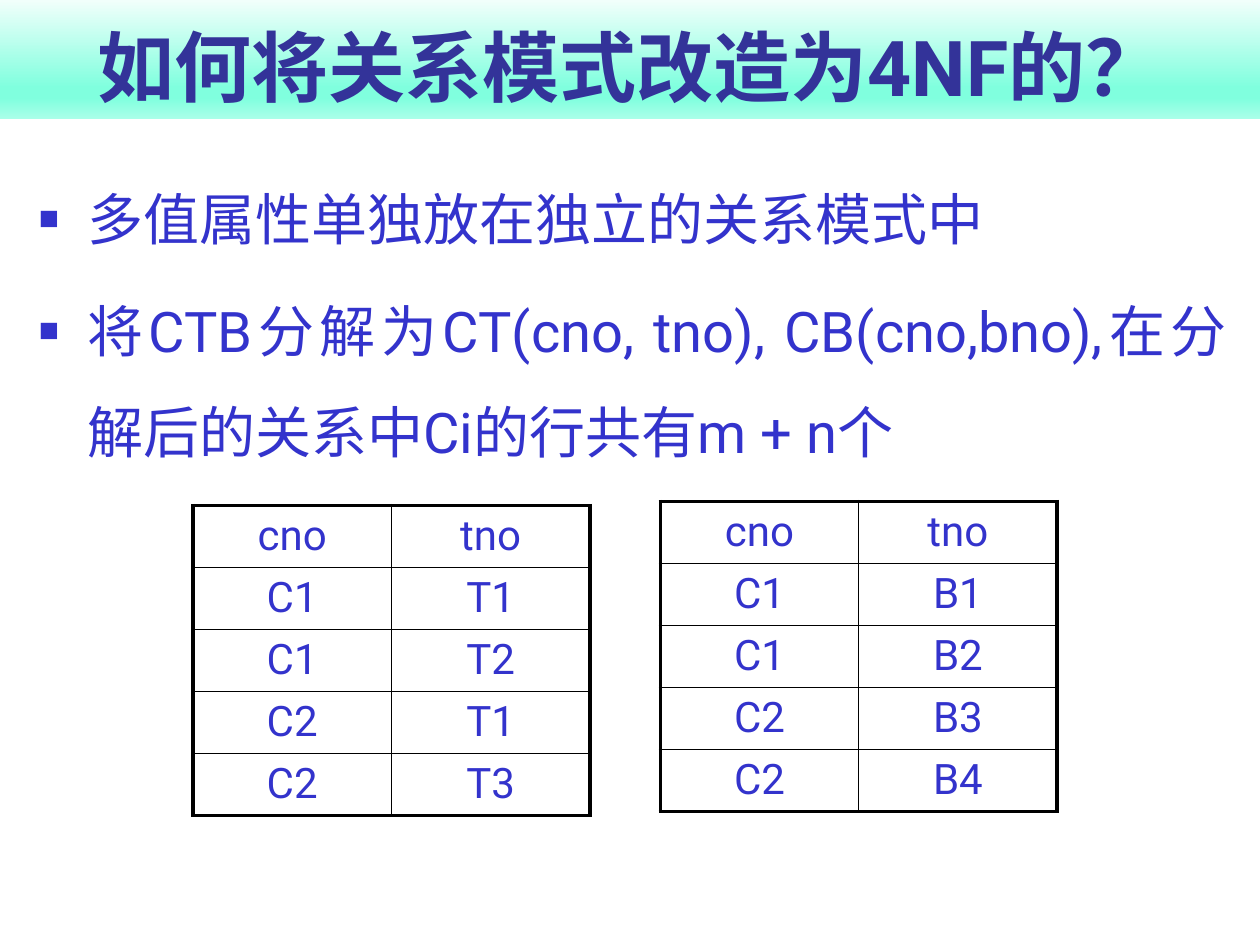
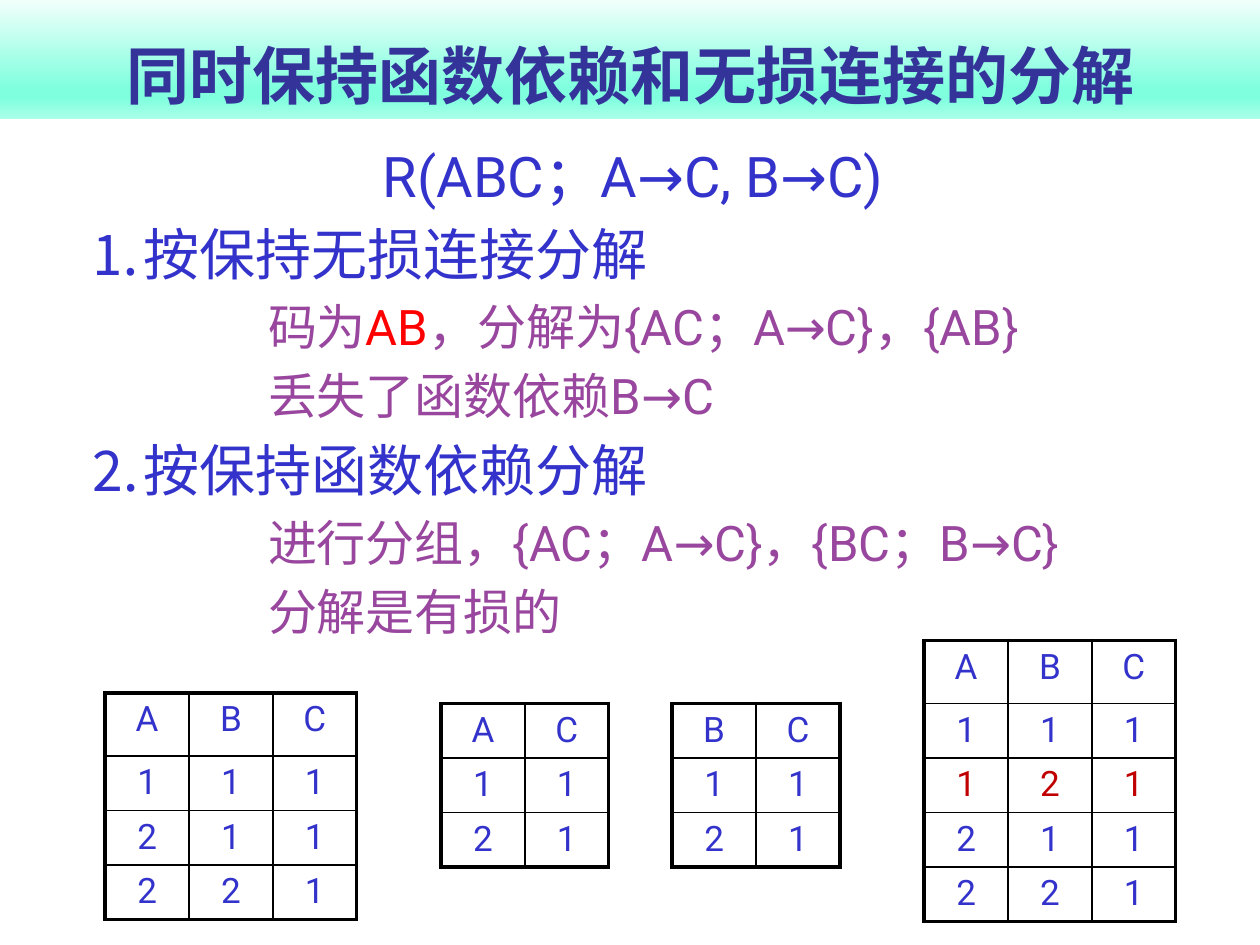
from dataclasses import dataclass

from lxml import etree
from pptx import Presentation
from pptx.dml.color import RGBColor
from pptx.enum.text import MSO_ANCHOR, MSO_AUTO_SIZE, PP_ALIGN
from pptx.oxml import parse_xml
from pptx.oxml.ns import nsdecls, qn
from pptx.util import Cm, Pt


@dataclass(frozen=True)
class Theme:
    font: str = "Roboto"
    title: str = "333399"
    text: str = "3333CC"
    detail: str = "98469E"
    key: str = "FF0000"
    spurious: str = "C00000"
    border: str = "000000"
    band: tuple = ((0, "F1FFFB"), (74, "80FFDE"), (83, "80FFDE"), (100, "AAFFE9"))
    body_size: int = 32
    detail_size: int = 28
    outer_line: float = 2.25
    inner_line: float = 1


THEME = Theme()


def apply(target, values):
    for name, value in values.items():
        setattr(target, name, value)


def add_run(paragraph, text, size, color, bold=False):
    run = paragraph.add_run()
    run.text = text
    apply(run.font, {"name": THEME.font, "size": Pt(size), "bold": bold})
    run.font.color.rgb = RGBColor.from_string(color)


def place(shape, left, top, width, height):
    apply(shape, {"left": Cm(left), "top": Cm(top), "width": Cm(width), "height": Cm(height)})


# Title band
def add_title(slide, text, size):
    title = slide.shapes.title
    place(title, 0, 0, 25.4, 2.39)
    stops = "".join(f'<a:gs pos="{pos * 1000}"><a:srgbClr val="{color}"/></a:gs>'
                    for pos, color in THEME.band)
    title._element.spPr.append(parse_xml(
        f'<a:gradFill {nsdecls("a")} rotWithShape="1"><a:gsLst>{stops}</a:gsLst>'
        '<a:lin ang="5400000" scaled="0"/></a:gradFill>'))
    frame = title.text_frame
    apply(frame, {"vertical_anchor": MSO_ANCHOR.BOTTOM, "auto_size": MSO_AUTO_SIZE.NONE})
    frame.paragraphs[0].alignment = PP_ALIGN.CENTER
    add_run(frame.paragraphs[0], text, size, THEME.title, bold=True)


# Body lists
def set_bullet(paragraph, indent, hanging, char):
    props = paragraph._p.get_or_add_pPr()
    props.set("marL", str(Cm(indent)))
    props.set("indent", str(-Cm(hanging)))
    if not char:
        etree.SubElement(props, qn("a:buNone"))
        return
    color = etree.SubElement(props, qn("a:buClr"))
    etree.SubElement(color, qn("a:srgbClr"), val=THEME.text)
    etree.SubElement(props, qn("a:buSzPct"), val="60000")
    etree.SubElement(props, qn("a:buChar"), char=char)


def add_line(frame, runs, size=THEME.body_size, indent=0, hanging=0, char=None, **formats):
    first = not frame.paragraphs[0].runs
    paragraph = frame.paragraphs[0] if first else frame.add_paragraph()
    set_bullet(paragraph, indent, hanging, char)
    apply(paragraph, {"alignment": PP_ALIGN.JUSTIFY, **formats})
    if first:
        paragraph.space_before = Pt(0)
    for text, color in runs:
        add_run(paragraph, text, size, color)


def add_bullet(frame, text):
    add_line(frame, [(text, THEME.text)], indent=0.97, hanging=0.97, char="■", line_spacing=1.5)


def add_step(frame, text):
    add_line(frame, [(text, THEME.text)], indent=0.97)


def add_detail(frame, *runs):
    add_line(frame, runs, size=THEME.detail_size, indent=4.62, level=1)


def body_frame(slide, top, height):
    body = slide.placeholders[1]
    place(body, 0.53, top, 24.46, height)
    body.text_frame.auto_size = MSO_AUTO_SIZE.NONE
    return body.text_frame


# Relation tables
def set_borders(cell, outer_sides):
    props = cell._tc.get_or_add_tcPr()
    for index, side in enumerate("LRTB"):
        width = THEME.outer_line if side in outer_sides else THEME.inner_line
        props.insert(index, parse_xml(
            f'<a:ln{side} {nsdecls("a")} w="{Pt(width)}"><a:solidFill>'
            f'<a:srgbClr val="{THEME.border}"/></a:solidFill></a:ln{side}>'))


def add_relation(slide, left, top, rows, col_width, row_height, size,
                 header_height=None, spurious_row=None):
    n_rows, n_cols = len(rows), len(rows[0])
    header_height = header_height or row_height
    table = slide.shapes.add_table(
        n_rows, n_cols, Cm(left), Cm(top), Cm(col_width * n_cols),
        Cm(header_height + row_height * (n_rows - 1))).table
    apply(table, {"first_row": False, "horz_banding": False})
    for column in table.columns:
        column.width = Cm(col_width)
    for r, values in enumerate(rows):
        table.rows[r].height = Cm(row_height if r else header_height)
        color = THEME.spurious if r == spurious_row else THEME.text
        for c, value in enumerate(values):
            cell = table.cell(r, c)
            cell.fill.background()
            edges = {"L": c == 0, "R": c == n_cols - 1, "T": r == 0, "B": r == n_rows - 1}
            set_borders(cell, [side for side, outer in edges.items() if outer])
            paragraph = cell.text_frame.paragraphs[0]
            paragraph.alignment = PP_ALIGN.CENTER
            add_run(paragraph, value, size, color)


def build_4nf(slide):
    add_title(slide, "如何将关系模式改造为4NF的？", 44)
    body = body_frame(slide, 2.92, 6.4)
    add_bullet(body, "多值属性单独放在独立的关系模式中")
    add_bullet(body, "将CTB分解为CT(cno, tno), CB(cno,bno),在分解后的关系中Ci的行共有m + n个")

    header, courses = ("cno", "tno"), ("C1", "C1", "C2", "C2")
    for left, top, members in ((3.89, 10.19, ("T1", "T2", "T1", "T3")),
                               (13.31, 10.11, ("B1", "B2", "B3", "B4"))):
        add_relation(slide, left, top, [header, *zip(courses, members)], 4, 1.25, 24)


def build_decomposition(slide):
    add_title(slide, "同时保持函数依赖和无损连接的分解", 36)
    body = body_frame(slide, 2.72, 10.59)
    add_line(body, [("R(ABC；A→C, B→C)", THEME.text)], alignment=PP_ALIGN.CENTER)
    add_step(body, "⒈按保持无损连接分解")
    add_detail(body, ("码为", THEME.detail), ("AB", THEME.key),
               ("，分解为{AC；A→C}，{AB}", THEME.detail))
    add_detail(body, ("丢失了函数依赖B→C", THEME.detail))
    add_step(body, "⒉按保持函数依赖分解")
    add_detail(body, ("进行分组，{AC；A→C}，{BC；B→C}", THEME.detail))
    add_detail(body, ("分解是有损的", THEME.detail))

    # Source relation, its two projections, and their join
    cells = {"col_width": 1.69, "row_height": 1.1, "size": 20}
    add_relation(slide, 2.12, 13.97, ["ABC", "111", "211", "221"], header_height=1.27, **cells)
    for left, header in ((8.89, "AC"), (13.55, "BC")):
        add_relation(slide, left, 14.18, [header, "11", "21"], **cells)
    add_relation(slide, 18.63, 12.91, ["ABC", "111", "121", "211", "221"],
                 header_height=1.27, spurious_row=2, **cells)


def main():
    deck = Presentation()
    apply(deck, {"slide_width": Cm(25.4), "slide_height": Cm(19.05)})
    for build in (build_4nf, build_decomposition):
        build(deck.slides.add_slide(deck.slide_layouts[1]))
    deck.save("out.pptx")


if __name__ == "__main__":
    main()
